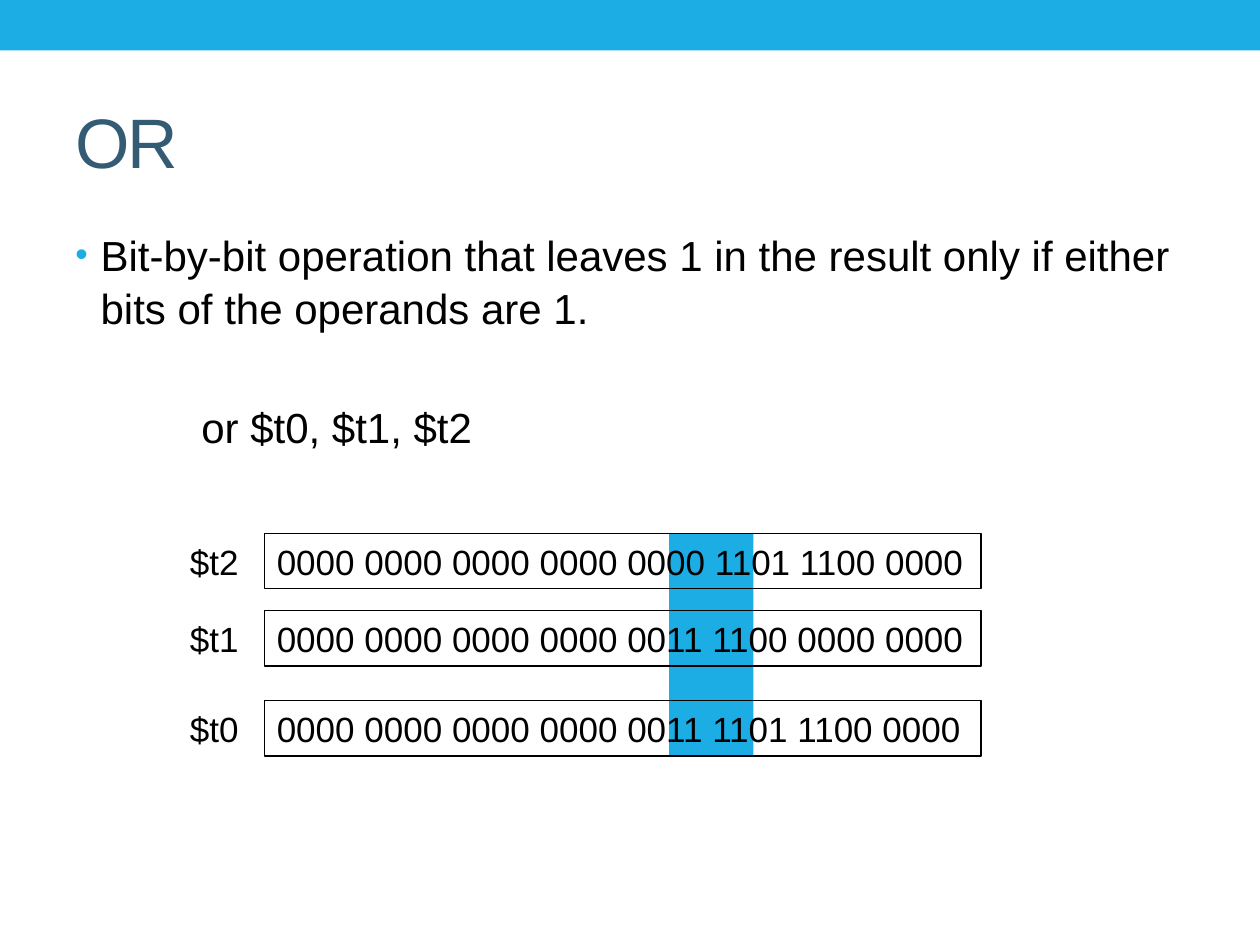
from lxml import etree
from pptx import Presentation
from pptx.dml.color import RGBColor
from pptx.enum.shapes import MSO_SHAPE
from pptx.enum.text import MSO_ANCHOR as ANCHOR, PP_ALIGN as ALIGN
from pptx.oxml.ns import qn
from pptx.util import Cm, Pt

FONT = "Arial"
BLACK = RGBColor(0x00, 0x00, 0x00)
BLUE = RGBColor(0x1C, 0xAD, 0xE4)
SLATE = RGBColor(0x33, 0x5B, 0x74)

# Register, bits and top edge in cm
REGISTERS = [
    ("$t2", "0000 0000 0000 0000 0000 1101 1100 0000", 10.75),
    ("$t1", "0000 0000 0000 0000 0011 1100 0000 0000", 12.31),
    ("$t0", "0000 0000 0000 0000 0011 1101 1100 0000", 14.12),
]


def format_text(p, size, color=BLACK):
    p.alignment = ALIGN.LEFT
    for r in p.runs:
        r.font.name = FONT
        r.font.size = Pt(size)
        r.font.color.rgb = color


def add_text(slide, text, x, y, w, h, size, color=BLACK, wrap=True,
             anchor=ANCHOR.TOP):
    tf = slide.shapes.add_textbox(Cm(x), Cm(y), Cm(w), Cm(h)).text_frame
    tf.word_wrap = wrap
    tf.vertical_anchor = anchor
    p = tf.paragraphs[0]
    p.text = text
    format_text(p, size, color)
    return tf


def add_rect(slide, x, y, w, h, fill=None, line=None):
    sp = slide.shapes.add_shape(MSO_SHAPE.RECTANGLE, Cm(x), Cm(y), Cm(w), Cm(h))
    sp.shadow.inherit = False
    if fill is None:
        sp.fill.background()
    else:
        sp.fill.solid()
        sp.fill.fore_color.rgb = fill
    if line is None:
        sp.line.fill.background()
    else:
        sp.line.color.rgb = line
        sp.line.width = Pt(0.75)
    return sp


def set_indent(p, left, first=0):
    pPr = p._p.get_or_add_pPr()
    pPr.set("marL", str(Cm(left)))
    pPr.set("indent", str(Cm(first)))
    return pPr


def add_bullet(p, color, percent):
    pPr = set_indent(p, 0.51, -0.51)
    clr = etree.SubElement(pPr, qn("a:buClr"))
    etree.SubElement(clr, qn("a:srgbClr")).set("val", str(color))
    etree.SubElement(pPr, qn("a:buSzPct")).set("val", str(percent * 1000))
    etree.SubElement(pPr, qn("a:buFont")).set("typeface", FONT)
    etree.SubElement(pPr, qn("a:buChar")).set("char", "•")


def add_register(slide, name, bits, y):
    sp = add_rect(slide, 5.33, y, 14.45, 1.12, line=BLACK)
    tf = sp.text_frame
    tf.word_wrap = True
    tf.vertical_anchor = ANCHOR.MIDDLE
    tf.text = bits
    format_text(tf.paragraphs[0], 20)
    add_text(slide, name, 3.58, y, 1.5, 1.12, 20, wrap=False,
             anchor=ANCHOR.MIDDLE)


def main():
    prs = Presentation()
    prs.slide_width, prs.slide_height = Cm(25.4), Cm(19.05)
    slide = prs.slides.add_slide(prs.slide_layouts[6])

    # Top band and title
    add_rect(slide, 0, 0, 25.4, 1.02, fill=BLUE)
    title = add_text(slide, "OR", 1.27, 1.47, 22.86, 2.74, 40, SLATE,
                     anchor=ANCHOR.MIDDLE)
    title.paragraphs[0].runs[0]._r.get_or_add_rPr().set("spc", "-100")

    # Definition and instruction
    body = add_text(
        slide,
        "Bit-by-bit operation that leaves 1 in the result only if either "
        "bits of the operands are 1.",
        1.27, 4.45, 22.86, 13.54, 24)
    body.paragraphs[0].line_spacing = 1.05
    add_bullet(body.paragraphs[0], BLUE, 85)
    p = body.add_paragraph()
    p.text = "or $t0, $t1, $t2"
    p.line_spacing = 1.05
    p.space_before = Pt(38)
    format_text(p, 24)
    set_indent(p, 2.54)

    # Highlighted bits behind the registers
    add_rect(slide, 13.49, 10.77, 1.7, 4.47, fill=BLUE)
    for name, bits, y in REGISTERS:
        add_register(slide, name, bits, y)

    prs.save("out.pptx")


main()
